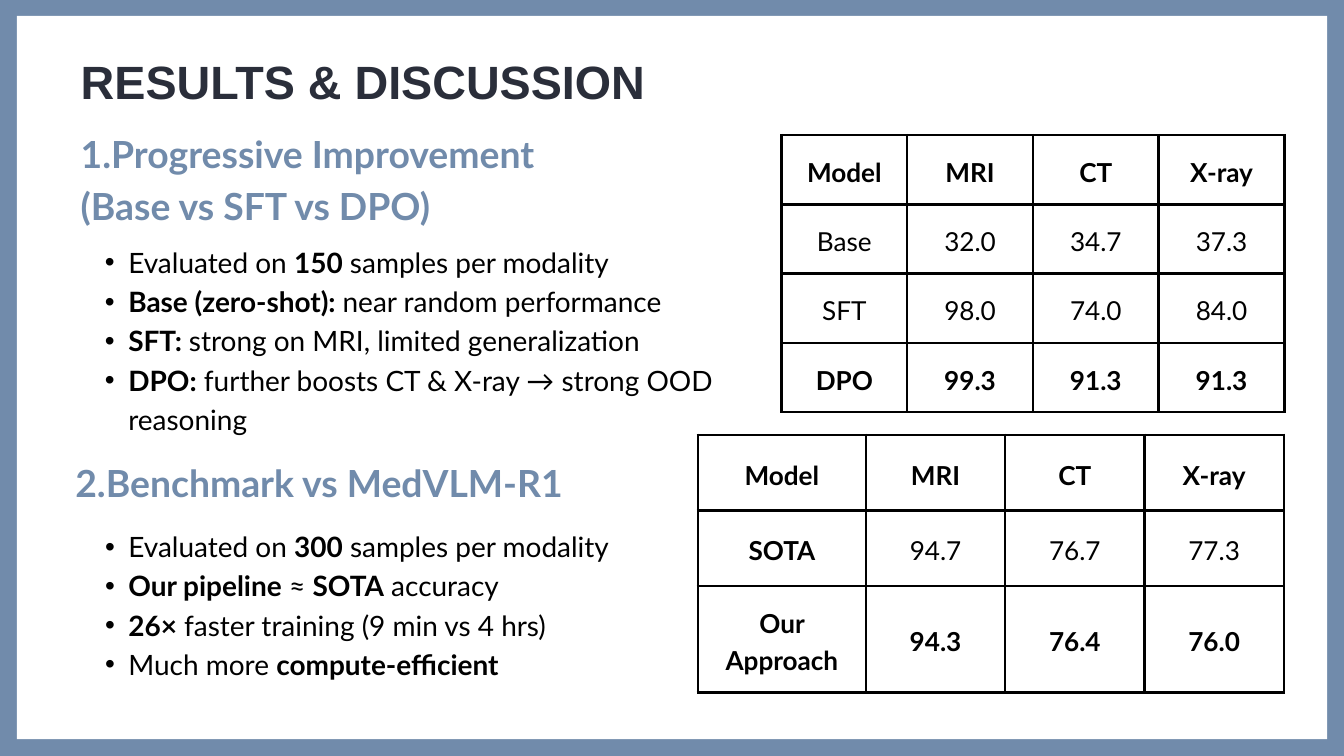
from lxml import etree
from pptx import Presentation
from pptx.dml.color import RGBColor
from pptx.enum.shapes import MSO_SHAPE
from pptx.enum.text import MSO_ANCHOR, MSO_AUTO_SIZE, PP_ALIGN
from pptx.oxml import parse_xml
from pptx.oxml.ns import nsdecls, qn
from pptx.util import Pt

COLORS = {"blue": "718BAB", "panel": "FFFFFF", "title": "2A2E3A", "text": "000000"}


def rgb(name):
    return RGBColor.from_string(COLORS[name])


def add_text(p, text, size=30, font="Lato", color="text", bold=False,
             leading=42, align=None, bullet=False):
    """Fill a paragraph; parts between ** marks are bold."""
    if bullet:
        p.level = 1
        pPr = p._p.get_or_add_pPr()
        pPr.set("marL", str(Pt(51)))
        pPr.set("indent", str(Pt(-25)))
        etree.SubElement(pPr, qn("a:buFont")).set("typeface", "Arial")
        etree.SubElement(pPr, qn("a:buChar")).set("char", "•")
    p.line_spacing = Pt(leading)
    p.alignment = align
    for i, part in enumerate(text.split("**")):
        if part:
            r = p.add_run()
            r.text = part
            r.font.name, r.font.size = font, Pt(size)
            r.font.bold = bold or i % 2 == 1
            r.font.color.rgb = rgb(color)


def set_frame(tf, auto_size):
    tf.word_wrap = True
    tf.auto_size = auto_size
    tf.vertical_anchor = MSO_ANCHOR.TOP
    tf.margin_left = tf.margin_right = tf.margin_top = tf.margin_bottom = 0


def add_background(s, x, y, w, h):
    s.background.fill.solid()
    s.background.fill.fore_color.rgb = rgb("blue")
    panel = s.shapes.add_shape(MSO_SHAPE.RECTANGLE, Pt(x), Pt(y), Pt(w), Pt(h))
    panel.shadow.inherit = False
    panel.fill.solid()
    panel.fill.fore_color.rgb = rgb("panel")
    panel.line.fill.background()
    # Send the panel behind the title placeholder
    s.shapes.title._element.addprevious(panel._element)


def add_title(s, x, y, w, h, text):
    sp = s.shapes.title
    sp.left, sp.top, sp.width, sp.height = Pt(x), Pt(y), Pt(w), Pt(h)
    set_frame(sp.text_frame, MSO_AUTO_SIZE.NONE)
    add_text(sp.text_frame.paragraphs[0], text, size=50, font="Arial",
             color="title", bold=True, leading=65, align=PP_ALIGN.LEFT)


def add_block(s, x, y, w, h, lines, **fmt):
    tf = s.shapes.add_textbox(Pt(x), Pt(y), Pt(w), Pt(h)).text_frame
    set_frame(tf, MSO_AUTO_SIZE.SHAPE_TO_FIT_TEXT)
    for i, line in enumerate(lines):
        p = tf.add_paragraph() if i else tf.paragraphs[0]
        add_text(p, line, **fmt)


def add_heading(s, x, y, w, h, lines):
    add_block(s, x, y, w, h, lines, size=40, color="blue", bold=True, leading=56)


def add_borders(cell):
    tcPr = cell._tc.get_or_add_tcPr()
    for i, side in enumerate(("lnL", "lnR", "lnT", "lnB")):
        tcPr.insert(i, parse_xml(
            f'<a:{side} {nsdecls("a")} w="{Pt(3)}"><a:solidFill>'
            f'<a:srgbClr val="{COLORS["text"]}"/></a:solidFill></a:{side}>'))


def add_score_table(s, x, y, col_widths, row_heights, rows):
    frame = s.shapes.add_table(len(rows), len(col_widths), Pt(x), Pt(y),
                               Pt(sum(col_widths)), Pt(sum(row_heights)))
    table = frame.table
    table.first_row = table.horz_banding = False
    for col, width in zip(table.columns, col_widths):
        col.width = Pt(width)
    for row, height, texts in zip(table.rows, row_heights, rows):
        row.height = Pt(height)
        for cell, text in zip(row.cells, texts):
            cell.fill.background()
            add_borders(cell)
            cell.vertical_anchor = MSO_ANCHOR.MIDDLE
            cell.margin_left = cell.margin_right = Pt(15)
            cell.margin_top = cell.margin_bottom = Pt(15)
            add_text(cell.text_frame.paragraphs[0], text, size=28,
                     leading=39.2, align=PP_ALIGN.CENTER)


def bold_row(*texts):
    return [f"**{t}**" for t in texts]


def main():
    prs = Presentation()
    prs.slide_width, prs.slide_height = Pt(1440), Pt(810)
    s = prs.slides.add_slide(prs.slide_layouts[5])
    header = bold_row("Model", "MRI", "CT", "X-ray")

    add_background(s, 18, 17, 1404, 775)
    add_title(s, 86.5, 52, 845, 65, "RESULTS & DISCUSSION")

    # Progressive improvement
    add_heading(s, 86.5, 132.5, 716, 112,
                ["1.Progressive Improvement", "(Base vs SFT vs DPO)"])
    add_block(s, 86.5, 257, 695.5, 210, [
        "Evaluated on **150** samples per modality",
        "**Base (zero-shot): **near random performance",
        "**SFT: **strong on MRI, limited generalization",
        "**DPO:** further boosts CT & X-ray → strong OOD reasoning",
    ], bullet=True)
    add_score_table(s, 837.25, 144.75, [134.75] * 4, [74.25] * 4, [
        header,
        ["Base", "32.0", "34.7", "37.3"],
        ["SFT", "98.0", "74.0", "84.0"],
        bold_row("DPO", "99.3", "91.3", "91.3"),
    ])

    # Benchmark
    add_heading(s, 80.75, 485.25, 601, 56, ["2.Benchmark vs MedVLM-R1"])
    add_block(s, 86.5, 561.5, 579.5, 168, [
        "Evaluated on **300** samples per modality",
        "**Our pipeline** ≈ **SOTA** accuracy",
        "**26×** faster training (9 min vs 4 hrs)",
        "Much more **compute-efficient**",
    ], bullet=True)
    add_score_table(s, 747.75, 466, [180] + [149.25] * 3, [81, 81, 114], [
        header,
        ["**SOTA**", "94.7", "76.7", "77.3"],
        bold_row("Our Approach", "94.3", "76.4", "76.0"),
    ])

    prs.save("out.pptx")


if __name__ == "__main__":
    main()
